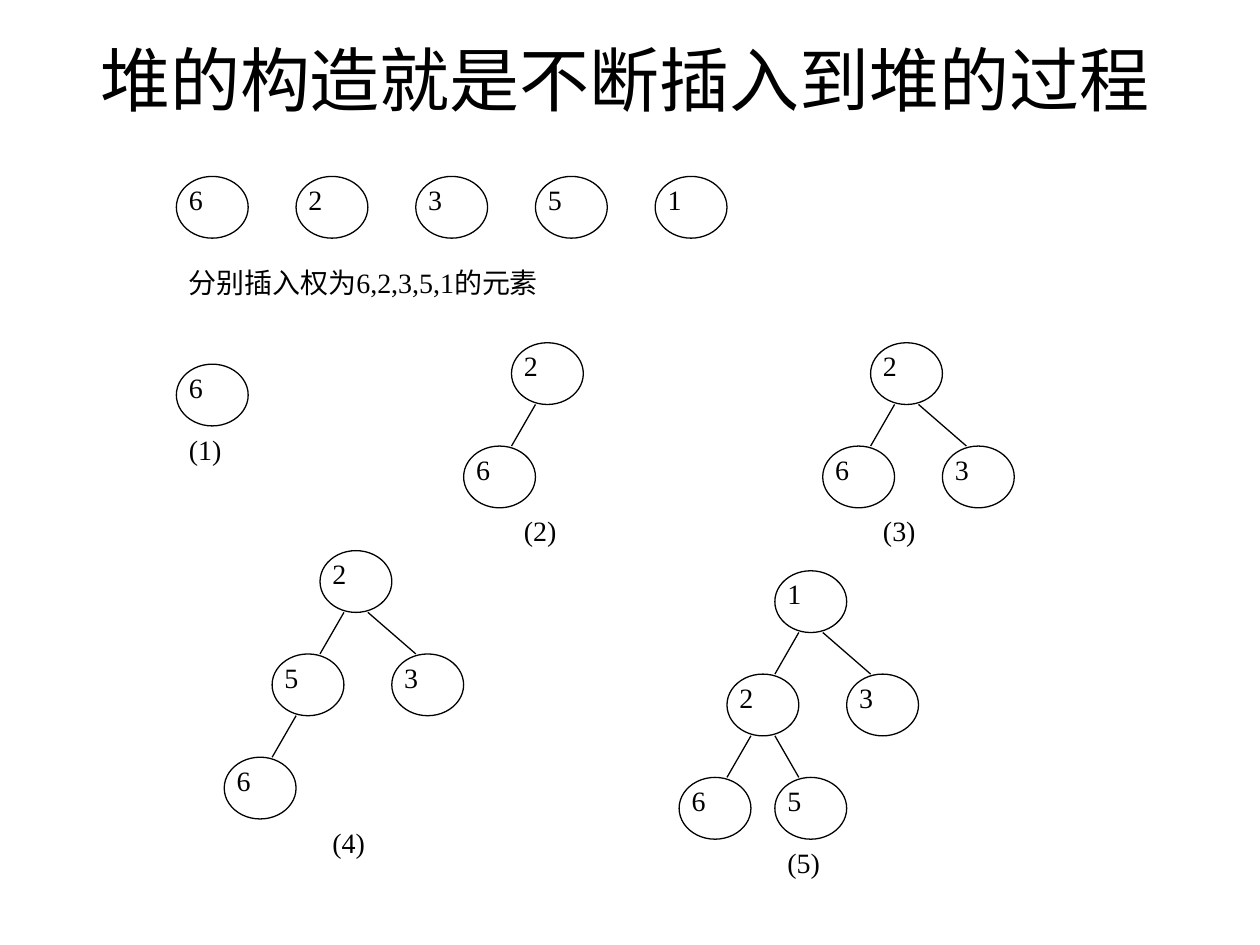
from lxml.etree import SubElement
from pptx import Presentation
from pptx.dml.color import RGBColor
from pptx.enum.shapes import MSO_CONNECTOR, MSO_SHAPE
from pptx.enum.text import MSO_ANCHOR, PP_ALIGN
from pptx.oxml.ns import qn
from pptx.util import Inches, Pt

NODE_WIDTH, NODE_HEIGHT = 0.57, 0.49
ROW_STEP = 0.82
BLACK = RGBColor.from_string("000000")
WHITE = RGBColor.from_string("FFFFFF")
BODY_FONT = {"name": "Times New Roman", "size": Pt(16)}
TITLE_FONT = {"name": "Calibri", "size": Pt(40), "bold": False}


def add_text(shapes, text, left, top, width=0.76, height=0.49):
    box = shapes.add_textbox(Inches(left), Inches(top), Inches(width), Inches(height))
    box.text_frame.word_wrap = True
    paragraph = box.text_frame.paragraphs[0]
    paragraph.text = text
    paragraph.alignment = PP_ALIGN.JUSTIFY
    for name, value in BODY_FONT.items():
        setattr(paragraph.font, name, value)
    paragraph.font.color.rgb = BLACK


def add_node(shapes, value, left, top):
    node = shapes.add_shape(MSO_SHAPE.OVAL, Inches(left), Inches(top),
                            Inches(NODE_WIDTH), Inches(NODE_HEIGHT))
    node.shadow.inherit = False
    node.fill.solid()
    node.fill.fore_color.rgb = WHITE
    node.line.color.rgb = BLACK
    node.line.width = Pt(0.75)
    add_text(shapes, str(value), left, top, height=0.66)


presentation = Presentation()
presentation.slide_width, presentation.slide_height = Inches(10), Inches(7.5)
slide = presentation.slides.add_slide(presentation.slide_layouts[5])

# Title
title = slide.shapes.title
title.left, title.top = Inches(0.35), Inches(0)
title.width, title.height = Inches(9.34), Inches(1.25)
title.text_frame.text = "堆的构造就是不断插入到堆的过程 "
title.text_frame.vertical_anchor = MSO_ANCHOR.MIDDLE
heading = title.text_frame.paragraphs[0]
heading.alignment = PP_ALIGN.CENTER
for name, value in TITLE_FONT.items():
    setattr(heading.font, name, value)
heading.font.color.rgb = BLACK

# Elements to insert, with their caption
diagram = slide.shapes.add_group_shape().shapes
for index, value in enumerate([6, 2, 3, 5, 1]):
    add_node(diagram, value, 1.4 + 0.95 * index, 1.4)
add_text(diagram, "分别插入权为6,2,3,5,1的元素", 1.4, 2.06, width=3.99)

# Heap after each insertion: root position and values in level order
heaps = [
    (1.4, 2.89, [6]),
    (4.06, 2.72, [2, 6]),
    (6.91, 2.72, [2, 6, 3]),
    (2.54, 4.37, [2, 5, 3, 6]),
    (6.15, 4.53, [1, 2, 3, 6, 5]),
]
node_offsets = [0, -0.38, 0.57, -0.76, 0]

for step, (root_left, root_top, values) in enumerate(heaps, start=1):
    positions = []
    for index, value in enumerate(values):
        level = (index + 1).bit_length() - 1
        left = root_left + node_offsets[index]
        top = root_top + ROW_STEP * level
        positions.append((left, top))
        add_node(diagram, value, left, top)
        if index == 0:
            continue

        # Edge from the parent's lower side to the child's upper side
        parent_left, parent_top = positions[(index - 1) // 2]
        is_left_child = index % 2 == 1
        start_shift, end_shift = (0.19, 0.38) if is_left_child else (0.38, 0.19)
        edge = diagram.add_connector(
            MSO_CONNECTOR.STRAIGHT,
            Inches(parent_left + start_shift), Inches(parent_top + NODE_HEIGHT),
            Inches(left + end_shift), Inches(top))
        edge.line.color.rgb = BLACK
        edge.line.width = Pt(0.75)
        SubElement(edge.element.spPr, qn("a:effectLst"))

    # Step number under the lowest row
    add_text(diagram, f"({step})", root_left, positions[-1][1] + NODE_HEIGHT)

presentation.save("out.pptx")
